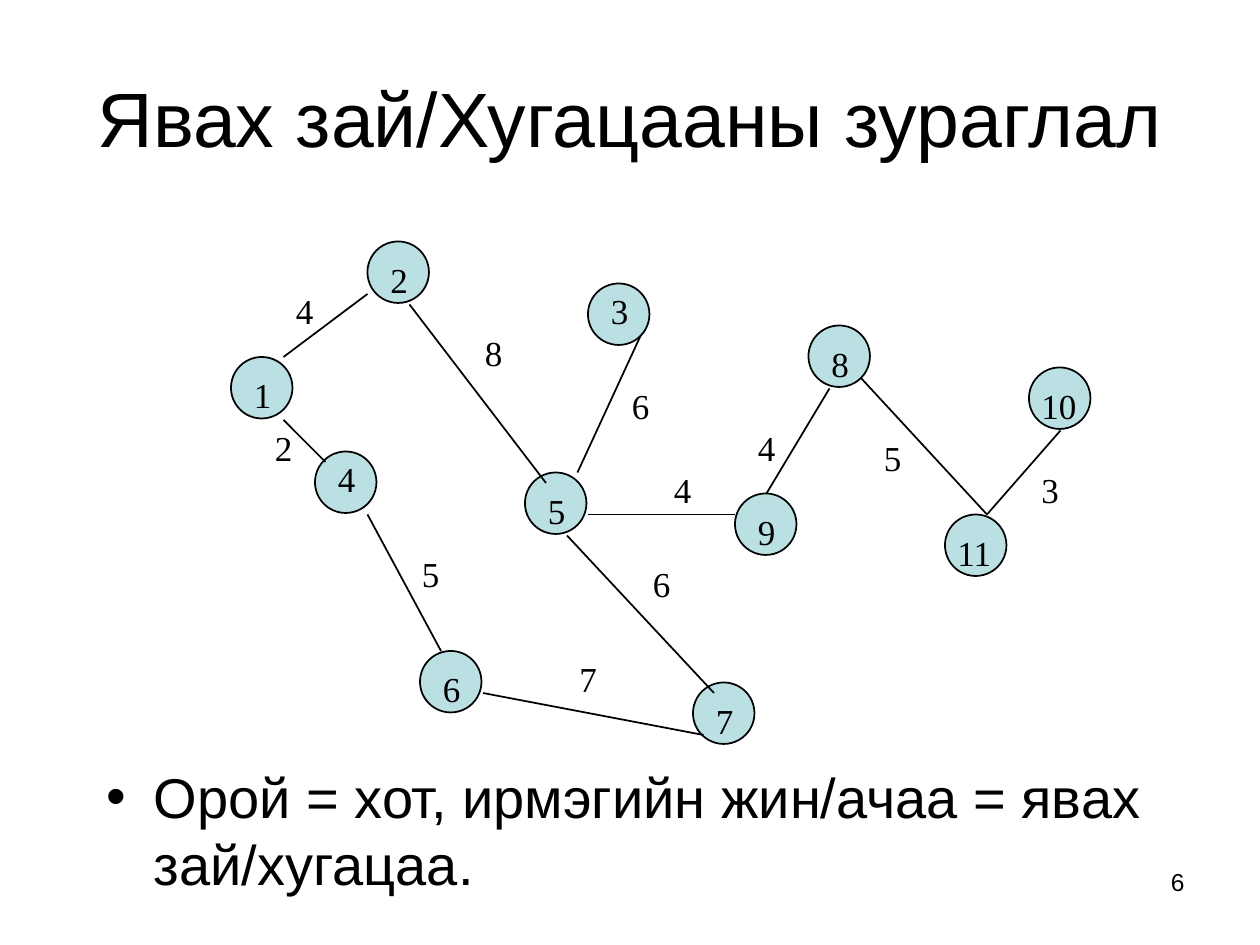
from typing import NamedTuple

from lxml.etree import SubElement
from pptx import Presentation
from pptx.dml.color import RGBColor
from pptx.enum.shapes import MSO_CONNECTOR, MSO_SHAPE
from pptx.enum.text import MSO_ANCHOR, MSO_AUTO_SIZE, PP_ALIGN
from pptx.oxml.ns import qn
from pptx.util import Cm, Pt

GRID = 2.54 / 12  # the graph sits on a grid of twelve steps to the inch
DIAMETER = Cm(1.24)
LABEL_HEIGHT = Cm(1.1)
BLACK, NODE_FILL = "000000", "BBE0E3"


class Point(NamedTuple):
    x: int
    y: int


class City(NamedTuple):
    name: str
    corner: Point
    label_shift: Point = Point(1, 1)
    label_width: int = 3


class Road(NamedTuple):
    start: Point
    end: Point
    weight: str
    label_corner: Point


CITIES = [
    City("1", Point(22, 34)),
    City("2", Point(35, 23)),
    City("3", Point(56, 27), Point(1, 0)),
    City("8", Point(77, 31)),
    City("10", Point(98, 35), Point(0, 1), 6),
    City("4", Point(30, 43), Point(1, 0)),
    City("5", Point(50, 45)),
    City("9", Point(70, 47)),
    City("11", Point(90, 49), Point(0, 1), 10),
    City("6", Point(40, 62)),
    City("7", Point(66, 65)),
]

ROADS = [
    Road(Point(35, 28), Point(27, 34), "4", Point(27, 27)),
    Road(Point(39, 29), Point(52, 46), "8", Point(45, 31)),
    Road(Point(27, 40), Point(31, 44), "2", Point(25, 40)),
    Road(Point(35, 49), Point(42, 62), "5", Point(39, 52)),
    Road(Point(46, 66), Point(67, 70), "7", Point(54, 62)),
    Road(Point(61, 32), Point(55, 45), "6", Point(59, 36)),
    Road(Point(54, 51), Point(68, 66), "6", Point(61, 53)),
    Road(Point(79, 37), Point(73, 47), "4", Point(71, 40)),
    Road(Point(82, 36), Point(94, 49), "5", Point(83, 41)),
    Road(Point(94, 49), Point(101, 41), "3", Point(98, 44)),
    Road(Point(56, 49), Point(70, 49), "4", Point(63, 44)),
]


def color(hex_value: str) -> RGBColor:
    return RGBColor.from_string(hex_value)


def grid(steps: int) -> Cm:
    return Cm(steps * GRID)


def style(paragraph, size: int, font_name: str = "Arial") -> None:
    for run in paragraph.runs:
        run.font.size = Pt(size)
        run.font.name = font_name
        run.font.color.rgb = color(BLACK)


def add_text(slide, text: str, left: Cm, top: Cm, width: Cm, height: Cm,
             size: int, font_name: str = "Arial"):
    """Add a wrapping text box and return its paragraph."""
    frame = slide.shapes.add_textbox(left, top, width, height).text_frame
    frame.word_wrap = True
    frame.text = text
    style(frame.paragraphs[0], size, font_name)
    return frame.paragraphs[0]


def add_bullet(paragraph, indent: Cm) -> None:
    properties = paragraph._p.get_or_add_pPr()
    properties.set("marL", str(indent))
    properties.set("indent", str(-indent))
    SubElement(properties, qn("a:buFont"), typeface="Arial")
    SubElement(properties, qn("a:buChar"), char="•")


def draw_city(slide, city: City) -> None:
    circle = slide.shapes.add_shape(
        MSO_SHAPE.OVAL, grid(city.corner.x), grid(city.corner.y), DIAMETER, DIAMETER)
    circle.shadow.inherit = False
    circle.fill.solid()
    circle.fill.fore_color.rgb = color(NODE_FILL)
    circle.line.color.rgb = color(BLACK)
    circle.line.width = Pt(1)


def draw_road(slide, road: Road) -> None:
    line = slide.shapes.add_connector(
        MSO_CONNECTOR.STRAIGHT, grid(road.start.x), grid(road.start.y),
        grid(road.end.x), grid(road.end.y))
    line.line.color.rgb = color(BLACK)
    line.line.width = Pt(1)
    SubElement(line._element.spPr, qn("a:effectLst"))


def draw_label(slide, text: str, corner: Point, width: int) -> None:
    add_text(slide, text, grid(corner.x), grid(corner.y), grid(width),
             LABEL_HEIGHT, 20, "Times New Roman")


def draw_title(slide, text: str) -> None:
    title = slide.shapes.title
    title.left, title.top = Cm(1.27), Cm(0.76)
    title.width, title.height = Cm(22.86), Cm(3.18)
    frame = title.text_frame
    frame.text = text
    frame.auto_size = MSO_AUTO_SIZE.NONE
    frame.vertical_anchor = MSO_ANCHOR.MIDDLE
    frame.paragraphs[0].alignment = PP_ALIGN.CENTER
    style(frame.paragraphs[0], 44)


def main() -> None:
    presentation = Presentation()
    presentation.slide_width, presentation.slide_height = Cm(25.4), Cm(19.05)
    slide = presentation.slides.add_slide(presentation.slide_layouts[5])

    draw_title(slide, "Явах зай/Хугацааны зураглал")
    legend = add_text(slide, "Орой = хот, ирмэгийн жин/ачаа = явах зай/хугацаа.",
                      Cm(1.9), Cm(15.24), Cm(21.6), Cm(3.18), 32)
    add_bullet(legend, Cm(0.95))

    for city in CITIES:
        draw_city(slide, city)
    for road in ROADS:
        draw_road(slide, road)
    for city in CITIES:
        label_corner = Point(city.corner.x + city.label_shift.x,
                             city.corner.y + city.label_shift.y)
        draw_label(slide, city.name, label_corner, city.label_width)
    for road in ROADS:
        draw_label(slide, road.weight, road.label_corner, 4)

    page_number = add_text(slide, "6", Cm(18.2), Cm(17.35), Cm(5.93), Cm(1.32), 14)
    page_number.alignment = PP_ALIGN.RIGHT
    presentation.save("out.pptx")


if __name__ == "__main__":
    main()
